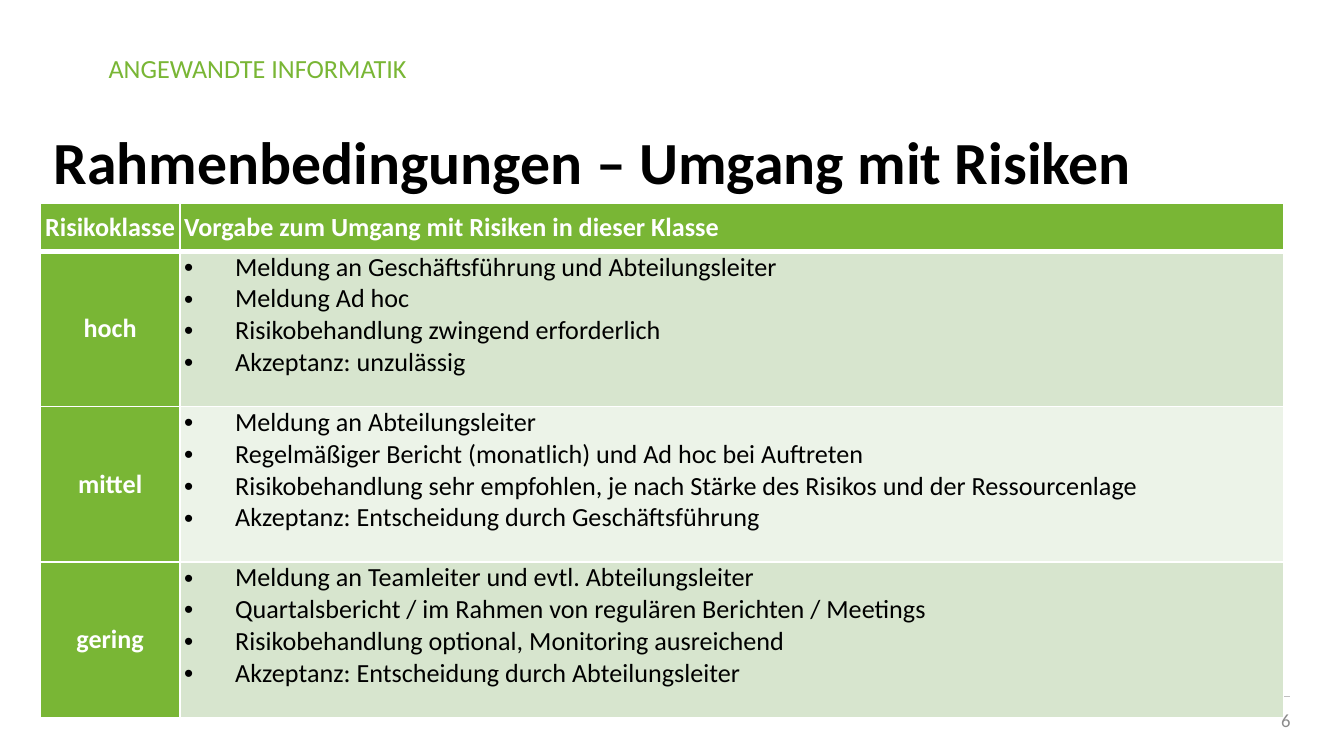
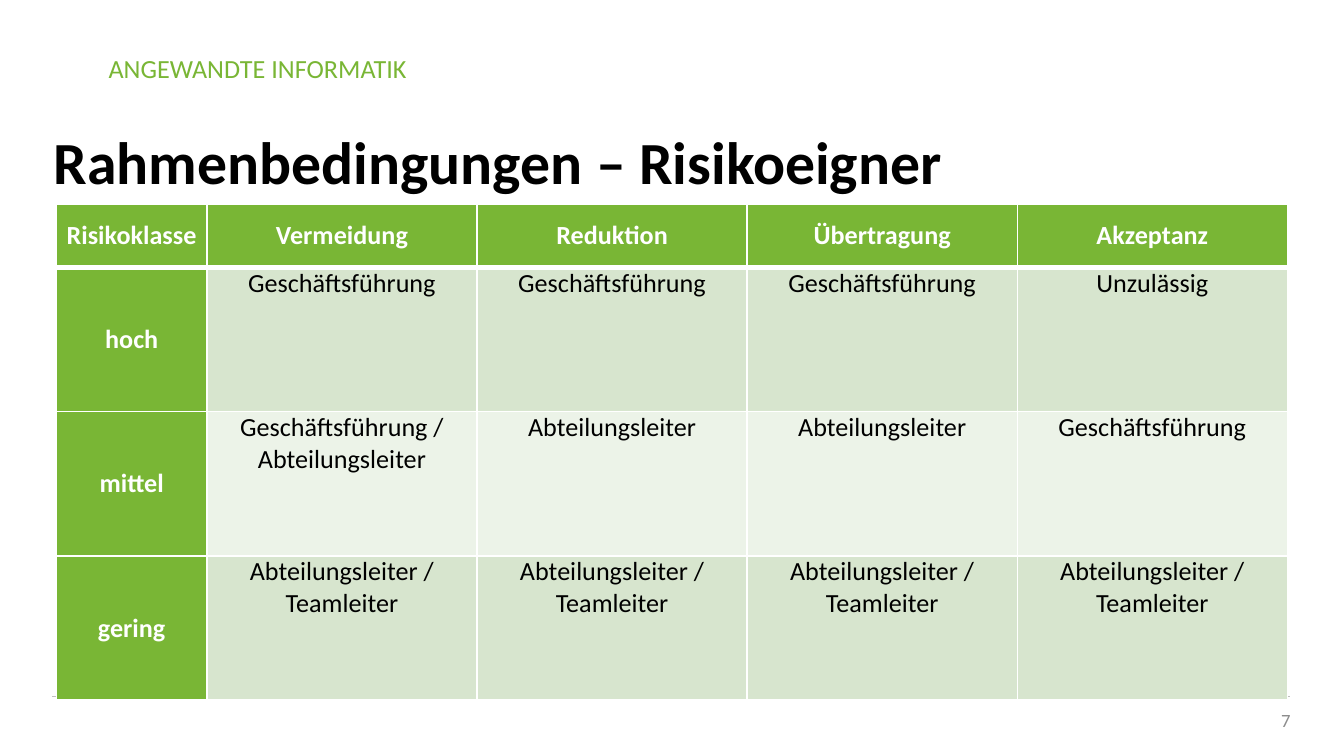
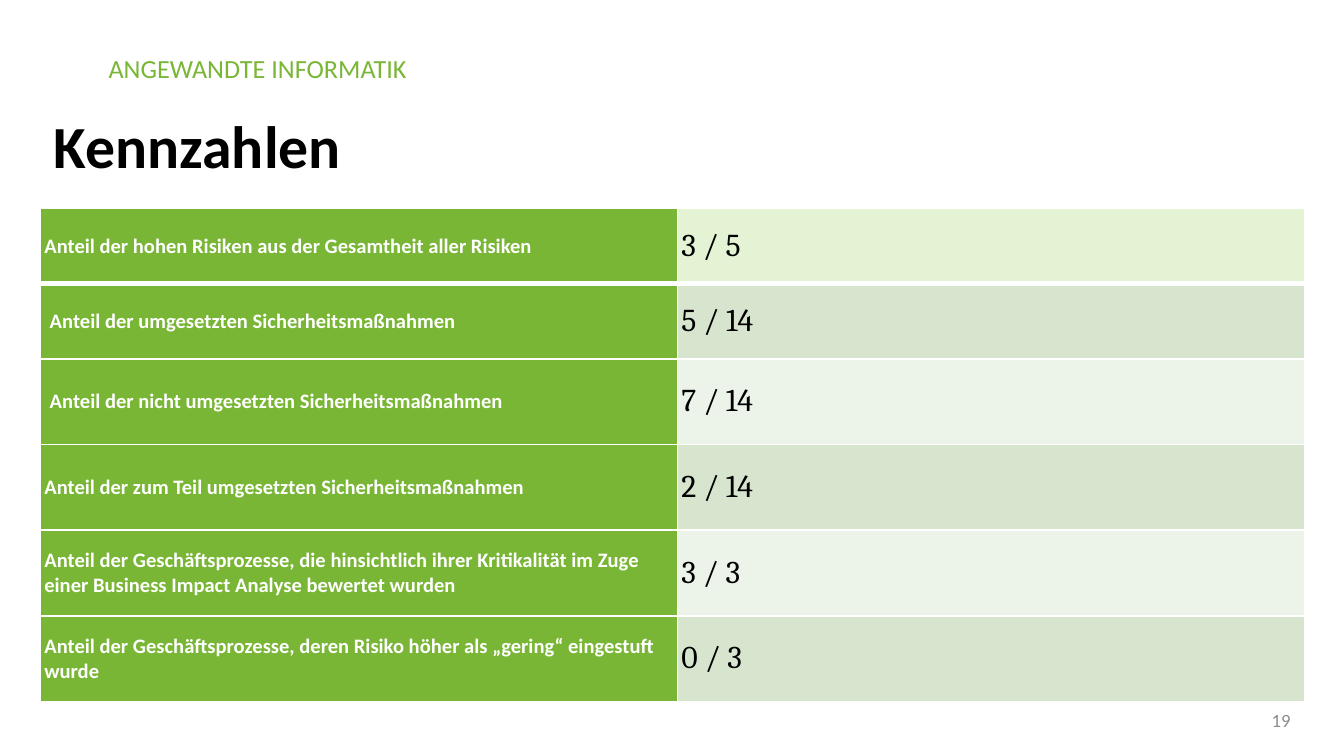
from dataclasses import dataclass

from lxml import etree
from pptx import Presentation
from pptx.dml.color import RGBColor
from pptx.enum.shapes import MSO_CONNECTOR
from pptx.enum.text import MSO_ANCHOR, MSO_AUTO_SIZE, PP_ALIGN
from pptx.oxml.ns import qn
from pptx.util import Inches, Pt

LEFT, CENTER, RIGHT = PP_ALIGN.LEFT, PP_ALIGN.CENTER, PP_ALIGN.RIGHT
TOP, MIDDLE, BOTTOM = MSO_ANCHOR.TOP, MSO_ANCHOR.MIDDLE, MSO_ANCHOR.BOTTOM
NO_FIT = MSO_AUTO_SIZE.NONE
STRAIGHT = MSO_CONNECTOR.STRAIGHT
TITLE_ONLY = 5


@dataclass(frozen=True)
class Theme:
    green: str = "79B635"
    band_dark: str = "D7E5CE"
    band_light: str = "ECF3E8"
    band_head: str = "E4F3D4"
    white: str = "FFFFFF"
    black: str = "000000"
    rule: str = "BFBFBF"
    grey: str = "8C8C8C"
    font: str = "Calibri"
    figure_font: str = "Cambria"
    title_size: int = 32
    body_size: int = 14
    label_size: int = 11
    figure_size: int = 17
    number_size: int = 10


THEME = Theme()
LABEL = dict(color=THEME.white, bold=True, fill=THEME.green, anchor=MIDDLE)

RISK_RULES = {
    "hoch": [
        "Meldung an Geschäftsführung und Abteilungsleiter",
        "Meldung Ad hoc",
        "Risikobehandlung zwingend erforderlich",
        "Akzeptanz: unzulässig",
    ],
    "mittel": [
        "Meldung an Abteilungsleiter",
        "Regelmäßiger Bericht (monatlich) und Ad hoc bei Auftreten",
        "Risikobehandlung sehr empfohlen, je nach Stärke des Risikos und der Ressourcenlage",
        "Akzeptanz: Entscheidung durch Geschäftsführung",
    ],
    "gering": [
        "Meldung an Teamleiter und evtl. Abteilungsleiter",
        "Quartalsbericht / im Rahmen von regulären Berichten / Meetings",
        "Risikobehandlung optional, Monitoring ausreichend",
        "Akzeptanz: Entscheidung durch Abteilungsleiter",
    ],
}

OWNER_HEADS = ["Risikoklasse", "Vermeidung", "Reduktion", "Übertragung", "Akzeptanz"]
RISK_OWNERS = {
    "hoch": ["Geschäftsführung"] * 3 + ["Unzulässig"],
    "mittel": ["Geschäftsführung / Abteilungsleiter", "Abteilungsleiter",
               "Abteilungsleiter", "Geschäftsführung"],
    "gering": ["Abteilungsleiter / Teamleiter"] * 4,
}

KEY_FIGURES = [
    ("Anteil der hohen Risiken aus der Gesamtheit aller Risiken", "3 / 5", 0),
    ("Anteil der umgesetzten Sicherheitsmaßnahmen", "5 / 14", 0.04),
    ("Anteil der nicht umgesetzten Sicherheitsmaßnahmen", "7 / 14", 0.04),
    ("Anteil der zum Teil umgesetzten Sicherheitsmaßnahmen", "2 / 14", 0),
    ("Anteil der Geschäftsprozesse, die hinsichtlich ihrer Kritikalität im Zuge "
     "einer Business Impact Analyse bewertet wurden", "3 / 3", 0),
    ("Anteil der Geschäftsprozesse, deren Risiko höher als „gering“ eingestuft wurde",
     "0 / 3", 0),
]


def write(tf, lines, size=THEME.body_size, color=THEME.black, bold=False,
          font=THEME.font, align=LEFT, indent=0, bullet=False):
    lines = [lines] if isinstance(lines, str) else lines
    for i, line in enumerate(lines):
        p = tf.paragraphs[0] if i == 0 else tf.add_paragraph()
        p.alignment = align
        pPr = p._p.get_or_add_pPr()
        if indent:
            pPr.set("marL", str(Inches(indent)))
        if bullet:
            pPr.set("indent", str(-Inches(indent)))
            etree.SubElement(pPr, qn("a:buFont"), typeface="Arial")
            etree.SubElement(pPr, qn("a:buChar"), char="•")
        r = p.add_run()
        r.text = line
        r.font.size = Pt(size)
        r.font.name = font
        r.font.bold = bold
        r.font.color.rgb = RGBColor.from_string(color)


def add_text(slide, box, text, anchor=TOP, **fmt):
    tf = slide.shapes.add_textbox(*map(Inches, box)).text_frame
    tf.word_wrap = True
    tf.vertical_anchor = anchor
    write(tf, text, **fmt)


def add_rule(slide, x1, x2, y):
    line = slide.shapes.add_connector(STRAIGHT, *map(Inches, (x1, y, x2, y)))
    line.line.color.rgb = RGBColor.from_string(THEME.rule)
    line.line.width = Pt(0.5)
    etree.SubElement(line._element.spPr, qn("a:effectLst"))


def add_slide(prs, title, number, title_box=(0.3, 0.57, 9.41, 0.94)):
    slide = prs.slides.add_slide(prs.slide_layouts[TITLE_ONLY])
    add_text(slide, (0.71, 0.34, 2.78, 0.34), "ANGEWANDTE INFORMATIK", color=THEME.green)
    add_rule(slide, 0.39, 9.6, 5.18)
    s = slide.shapes.title
    s.left, s.top, s.width, s.height = map(Inches, title_box)
    tf = s.text_frame
    tf.word_wrap = True
    tf.auto_size = NO_FIT
    tf.vertical_anchor = BOTTOM
    write(tf, title, size=THEME.title_size, bold=True)
    add_text(slide, (7.37, 5.21, 2.33, 0.3), str(number), anchor=MIDDLE,
             size=THEME.number_size, color=THEME.grey, align=RIGHT)
    return slide


def set_borders(cell, row):
    widths = {"L": 1, "R": 1, "T": 3 if row == 1 else 1, "B": 3 if row == 0 else 1}
    tcPr = cell._tc.get_or_add_tcPr()
    for i, (side, width) in enumerate(widths.items()):
        ln = etree.Element(qn(f"a:ln{side}"), w=str(Pt(width)))
        fill = etree.SubElement(ln, qn("a:solidFill"))
        etree.SubElement(fill, qn("a:srgbClr"), val=THEME.white)
        tcPr.insert(i, ln)


def fill_cell(cell, row, text, margin, fill, anchor=TOP, **fmt):
    cell.margin_left = cell.margin_right = Inches(margin)
    cell.margin_top = cell.margin_bottom = 0
    cell.vertical_anchor = anchor
    cell.fill.solid()
    cell.fill.fore_color.rgb = RGBColor.from_string(fill)
    set_borders(cell, row)
    write(cell.text_frame, text, **fmt)


def add_grid(slide, left, top, cols, rows, cells, margin=0.03):
    box = map(Inches, (left, top, sum(cols), sum(rows)))
    table = slide.shapes.add_table(len(rows), len(cols), *box).table
    for col, width in zip(table.columns, cols):
        col.width = Inches(width)
    for r, height in enumerate(rows):
        table.rows[r].height = Inches(height)
        for c, (text, fmt) in enumerate(cells[r]):
            fill_cell(table.cell(r, c), r, text, margin, **fmt)


def shared_rows(total, heads, count):
    return heads + [(total - sum(heads)) / count] * count


def band(row):
    return THEME.band_dark if row % 2 else THEME.band_light


def add_risk_rules(prs):
    slide = add_slide(prs, "Rahmenbedingungen – Umgang mit Risiken", 6)
    centred = dict(LABEL, align=CENTER)
    cells = [[("Risikoklasse", centred),
              ("Vorgabe zum Umgang mit Risiken in dieser Klasse", LABEL)]]
    for row, (risk, rules) in enumerate(RISK_RULES.items(), 1):
        cells.append([(risk, centred),
                      (rules, dict(fill=band(row), indent=0.38, bullet=True))])
    add_grid(slide, 0.3, 1.51, [1.04, 8.21], shared_rows(3.83, [0.36], 3), cells)


def add_risk_owners(prs):
    slide = add_slide(prs, "Rahmenbedingungen – Risikoeigner", 7)
    centred = dict(LABEL, align=CENTER)
    cells = [[(head, centred) for head in OWNER_HEADS]]
    for row, (risk, owners) in enumerate(RISK_OWNERS.items(), 1):
        body = dict(fill=band(row), align=CENTER)
        cells.append([(risk, centred)] + [(owner, body) for owner in owners])
    add_grid(slide, 0.42, 1.52, [1.12] + [2.01] * 4, shared_rows(3.69, [0.47], 3),
             cells, margin=0.04)


def add_key_figures(prs):
    slide = add_slide(prs, "Kennzahlen", 19, title_box=(0.3, 0.72, 9.41, 0.67))
    cells = []
    for row, (label, figure, indent) in enumerate(KEY_FIGURES):
        value = dict(fill=band(row) if row else THEME.band_head, anchor=MIDDLE,
                     font=THEME.figure_font, size=THEME.figure_size)
        cells.append([(label, dict(LABEL, size=THEME.label_size, indent=indent)),
                      (figure, value)])
    add_grid(slide, 0.3, 1.55, [4.74, 4.67], shared_rows(3.67, [0.56] * 2, 4), cells)


def main():
    prs = Presentation()
    prs.slide_width = Inches(10)
    prs.slide_height = prs.slide_width * 9 // 16
    add_risk_rules(prs)
    add_risk_owners(prs)
    add_key_figures(prs)
    prs.save("out.pptx")


if __name__ == "__main__":
    main()
